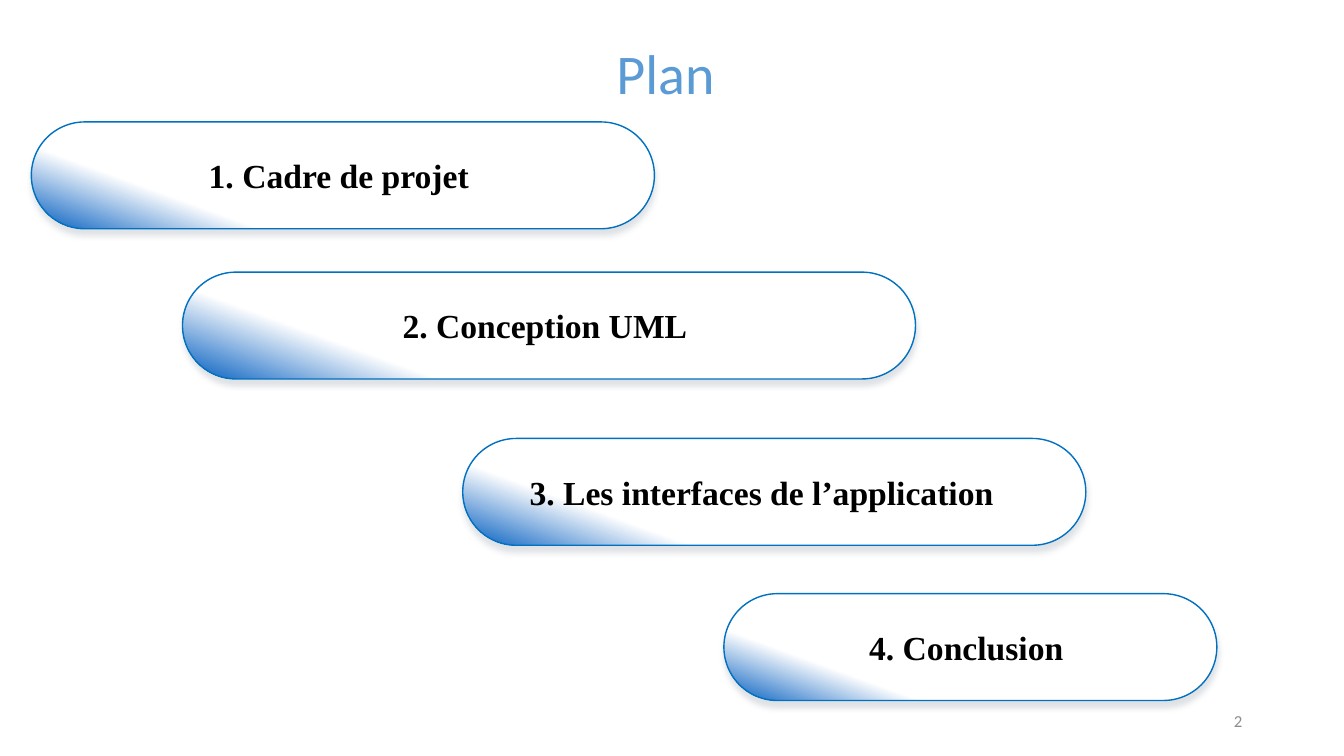
from lxml import etree
from pptx import Presentation
from pptx.dml.color import RGBColor
from pptx.enum.shapes import MSO_SHAPE as Shape
from pptx.enum.text import MSO_ANCHOR as Anchor, PP_ALIGN as Align
from pptx.oxml import parse_xml
from pptx.util import Inches, Pt

WHITE = RGBColor(0xFF, 0xFF, 0xFF)
BLACK = RGBColor(0, 0, 0)
DEEP_BLUE = RGBColor(0x00, 0x5C, 0xBF)
OUTLINE = RGBColor(0x00, 0x70, 0xC0)
TITLE_BLUE = RGBColor(0x5B, 0x9B, 0xD5)
GREY = RGBColor(0x8C, 0x8C, 0x8C)

SHADOW = (
    '<a:effectLst xmlns:a="http://schemas.openxmlformats.org/drawingml/2006/main">'
    '<a:outerShdw blurRad="50800" dist="50800" dir="5400000" algn="t" rotWithShape="0">'
    '<a:srgbClr val="44546A"><a:alpha val="16000"/></a:srgbClr>'
    '</a:outerShdw></a:effectLst>'
)

deck = Presentation()
deck.slide_width, deck.slide_height = Inches(13.33), Inches(7.5)
page = deck.slides.add_slide(deck.slide_layouts[6])


def area(left, top, width, height):
    """Turn percentages of the slide into lengths."""
    across, down = deck.slide_width / 100, deck.slide_height / 100
    return int(left * across), int(top * down), int(width * across), int(height * down)


def write(box, text, size, color, font="Calibri", bold=False,
          align=Align.CENTER, anchor=Anchor.MIDDLE):
    frame = box.text_frame
    frame.word_wrap = True
    frame.vertical_anchor = anchor
    para = frame.paragraphs[0]
    para.alignment = align
    span = para.add_run()
    span.text = text
    span.font.name, span.font.size, span.font.bold = font, Pt(size), bold
    span.font.color.rgb = color


# Title
title = page.shapes.add_textbox(*area(37.66, 3.73, 23.71, 10.27))
title.text_frame.margin_bottom = 0
write(title, "Plan", 40, TITLE_BLUE, anchor=Anchor.BOTTOM)

# Steps of the plan: text, left, top, width, right inset in inches
steps = [
    ("1. Cadre de projet", 2.33, 16.13, 46.36, 0.18),
    ("2. Conception UML", 13.58, 36, 54.54, 0.18),
    ("3. Les interfaces de l’application", 34.43, 58, 46.36, 0.35),
    ("4. Conclusion", 53.86, 78.53, 36.68, 0.18),
]
for text, left, top, width, inset in steps:
    pill = page.shapes.add_shape(Shape.ROUNDED_RECTANGLE, *area(left, top, width, 14.13))
    pill.adjustments[0] = 0.5
    pill.fill.gradient()
    pill.fill.gradient_angle = 250
    for stop, position, color in zip(pill.fill.gradient_stops, (0.75, 1), (WHITE, DEEP_BLUE)):
        stop.position = position
        stop.color.rgb = color
    pill.line.color.rgb = OUTLINE
    pill.line.width = Pt(1)
    pill.element.spPr.append(parse_xml(SHADOW))
    pill.text_frame.margin_right = Inches(inset)
    write(pill, text, 24, BLACK, font="Times New Roman", bold=True)

# Page number
number = page.shapes.add_textbox(*area(70.67, 92.67, 22.5, 5.33))
write(number, "2", 12, GREY, align=Align.RIGHT)

deck.save("out.pptx")
